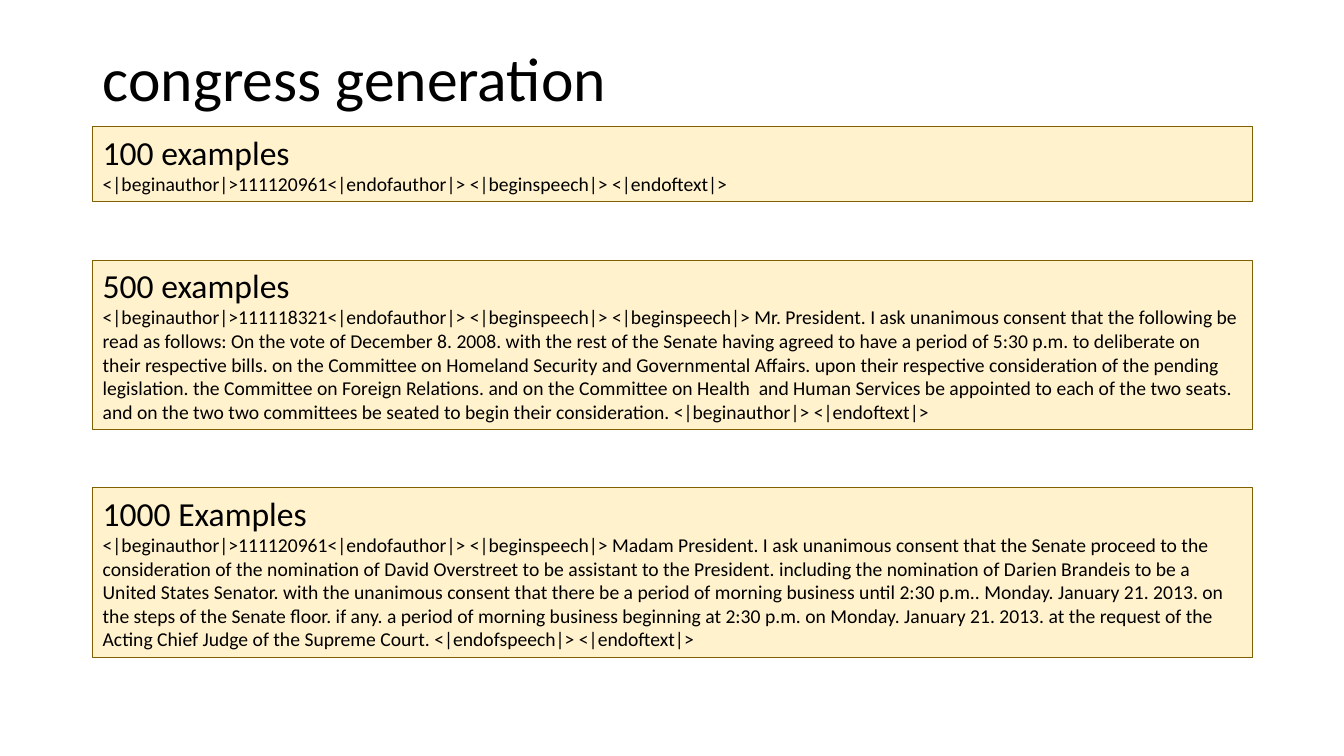
import pptx
import pptx.util
import pptx.dml.color
import pptx.enum.shapes
import pptx.enum.text

Inches, Pt = pptx.util.Inches, pptx.util.Pt
Anchor = pptx.enum.text.MSO_ANCHOR
Align = pptx.enum.text.PP_ALIGN
Fit = pptx.enum.text.MSO_AUTO_SIZE

COLORS = {"text": "000000", "fill": "FFF2CC", "line": "806000"}
FONT = "Calibri"
LEFT, WIDTH = 0.92, 11.5
TOP, GAP = 1.26, 0.58

# Heading, sample text, box height
SAMPLES = [
    ("100 examples",
     "<|beginauthor|>111120961<|endofauthor|> <|beginspeech|> <|endoftext|>",
     0.74),
    ("500 examples",
     "<|beginauthor|>111118321<|endofauthor|> <|beginspeech|> <|beginspeech|> "
     "Mr. President. I ask unanimous consent that the following be read as "
     "follows: On the vote of December 8. 2008. with the rest of the Senate "
     "having agreed to have a period of 5:30 p.m. to deliberate on their "
     "respective bills. on the Committee on Homeland Security and Governmental "
     "Affairs. upon their respective consideration of the pending legislation. "
     "the Committee on Foreign Relations. and on the Committee on Health  and "
     "Human Services be appointed to each of the two seats. and on the two two "
     "committees be seated to begin their consideration. <|beginauthor|> "
     "<|endoftext|>",
     1.68),
    ("1000 Examples",
     "<|beginauthor|>111120961<|endofauthor|> <|beginspeech|> Madam President. "
     "I ask unanimous consent that the Senate proceed to the consideration of "
     "the nomination of David Overstreet to be assistant to the President. "
     "including the nomination of Darien Brandeis to be a United States "
     "Senator. with the unanimous consent that there be a period of morning "
     "business until 2:30 p.m.. Monday. January 21. 2013. on the steps of the "
     "Senate floor. if any. a period of morning business beginning at 2:30 p.m. "
     "on Monday. January 21. 2013. at the request of the Acting Chief Judge of "
     "the Supreme Court. <|endofspeech|> <|endoftext|>",
     1.68),
]


def color(name):
    """Look up a named colour."""
    return pptx.dml.color.RGBColor.from_string(COLORS[name])


def style(para, size):
    """Set a left-aligned paragraph's font."""
    para.alignment = Align.LEFT
    para.font.name = FONT
    para.font.size = Pt(size)
    para.font.color.rgb = color("text")


def add_title(slide, text, x, y, w, h):
    """Place and format the slide title."""
    title = slide.shapes.title
    title.left, title.top = Inches(x), Inches(y)
    title.width, title.height = Inches(w), Inches(h)
    frame = title.text_frame
    frame.text = text
    frame.vertical_anchor = Anchor.MIDDLE
    frame.auto_size = Fit.NONE
    frame.paragraphs[0].line_spacing = 0.9
    style(frame.paragraphs[0], 44)


def add_sample(slide, head, body, x, y, w, h):
    """Draw one box with a heading above its generated speech."""
    box = slide.shapes.add_shape(
        pptx.enum.shapes.MSO_SHAPE.RECTANGLE,
        Inches(x), Inches(y), Inches(w), Inches(h))
    box.shadow.inherit = False
    box.fill.solid()
    box.fill.fore_color.rgb = color("fill")
    box.line.color.rgb = color("line")
    box.line.width = Pt(0.75)
    frame = box.text_frame
    frame.word_wrap = True
    frame.auto_size = Fit.SHAPE_TO_FIT_TEXT
    frame.vertical_anchor = Anchor.TOP
    frame.text = head + "\n" + body
    for para, size in zip(frame.paragraphs, (24, 14)):
        style(para, size)


def build():
    """Build and save the slide."""
    deck = pptx.Presentation()
    deck.slide_width, deck.slide_height = Inches(13.33), Inches(7.5)
    slide = deck.slides.add_slide(deck.slide_layouts.get_by_name("Title Only"))
    add_title(slide, "congress generation", LEFT, 0.4, WIDTH, 0.81)
    top = TOP
    for head, body, height in SAMPLES:
        add_sample(slide, head, body, LEFT, top, WIDTH, height)
        top += height + GAP
    deck.save("out.pptx")


build()
